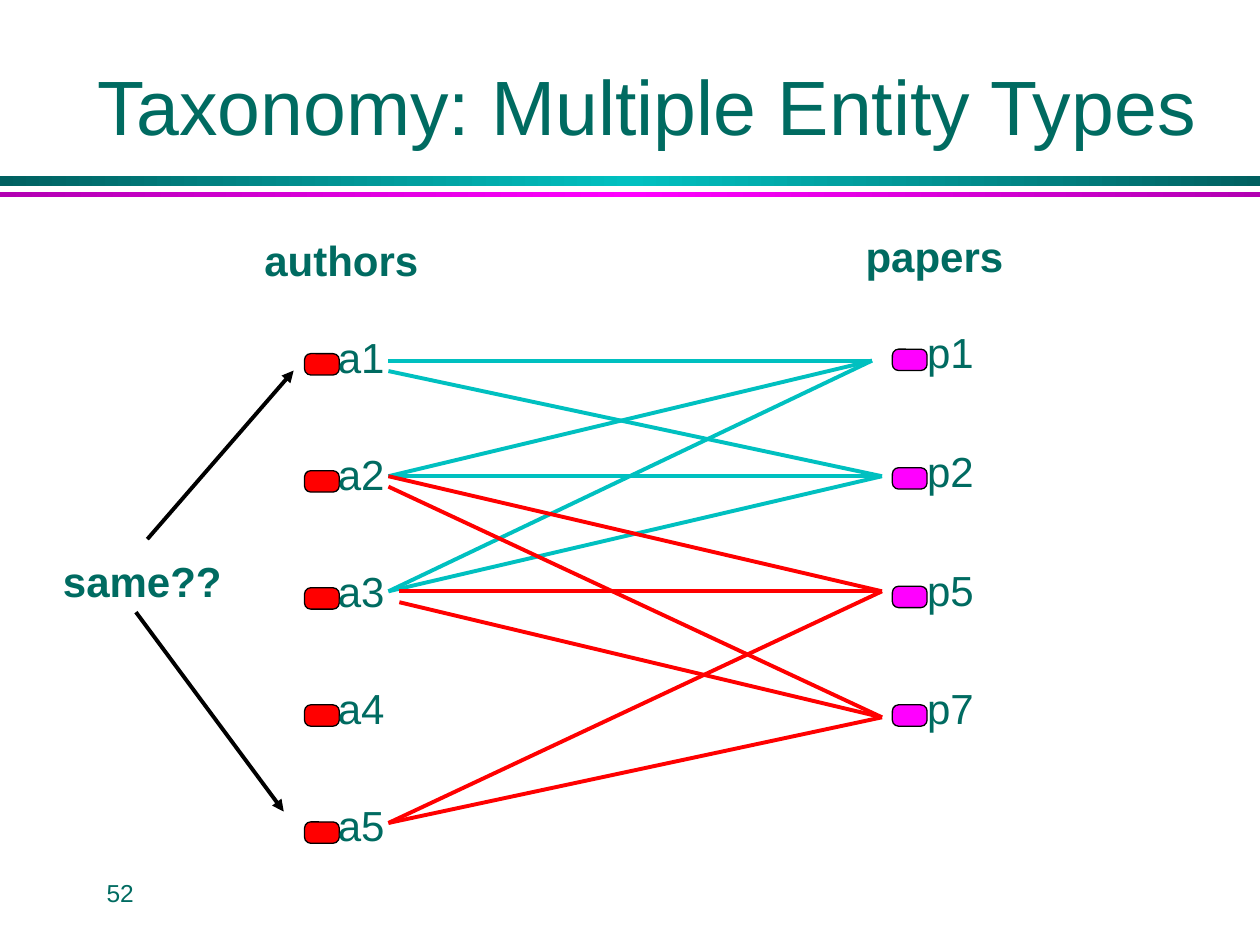
"""Build the slide that links authors to papers as a two-column entity graph."""
from copy import deepcopy

from lxml import etree
from pptx import Presentation
from pptx.dml.color import RGBColor
from pptx.enum.shapes import MSO_CONNECTOR, MSO_SHAPE
from pptx.enum.text import MSO_ANCHOR, PP_ALIGN
from pptx.oxml.ns import qn
from pptx.util import Cm, Pt

RECTANGLE, ROUNDED = MSO_SHAPE.RECTANGLE, MSO_SHAPE.ROUNDED_RECTANGLE
STRAIGHT = MSO_CONNECTOR.STRAIGHT
TOP, MIDDLE, BOTTOM = MSO_ANCHOR.TOP, MSO_ANCHOR.MIDDLE, MSO_ANCHOR.BOTTOM
LEFT, CENTER = PP_ALIGN.LEFT, PP_ALIGN.CENTER

FONT = "Arial"
GREEN = RGBColor(0x00, 0x6B, 0x61)
DARK_TEAL = RGBColor(0x00, 0x60, 0x60)
TEAL = RGBColor(0x00, 0xC0, 0xC0)
PURPLE = RGBColor(0xB2, 0x00, 0xB2)
MAGENTA = RGBColor(0xFF, 0x00, 0xFF)
RED = RGBColor(0xFF, 0x00, 0x00)
BLACK = RGBColor(0x00, 0x00, 0x00)

TITLE = "Taxonomy: Multiple Entity Types"
NUMBER = "52"
RULES = [(3.55, 0.2, DARK_TEAL, TEAL), (3.87, 0.1, PURPLE, MAGENTA)]
HEADINGS = [
    ("authors", 5.08, 4.6, 3.61),
    ("papers", 17.2, 4.52, 3.28),
    ("same??", 1.02, 11.07, 3.71),
]
COLUMNS = [
    (["p1", "p2", "p5", "p7"], MAGENTA, 17.99, 18.69, 7.04, 2.39),
    (["a1", "a2", "a3", "a4", "a5"], RED, 6.14, 6.81, 7.13, 2.36),
]
PILL_WIDTH, PILL_HEIGHT = 0.7, 0.43
LABEL_WIDTH, LABEL_HEIGHT, LABEL_RISE = 1, 1.09, 0.53

PORTS = {
    "a1": (7.83, 7.27), "a1 low": (7.83, 7.48),
    "a2": (7.83, 9.6), "a2 low": (7.83, 9.81),
    "a3": (7.83, 11.92), "a3 right": (8.05, 11.92), "a3 low": (8.05, 12.14),
    "a5": (7.83, 16.59),
    "p1": (17.58, 7.27), "p2": (17.78, 9.6),
    "p5": (17.78, 11.92), "p7": (17.78, 14.46),
}
LINKS = [
    ("p1", ["a1", "a2", "a3"], TEAL),
    ("p2", ["a1 low", "a2", "a3"], TEAL),
    ("p5", ["a5", "a2", "a3 right"], RED),
    ("p7", ["a3 low", "a2 low", "a5"], RED),
]
ARROWS = [((2.97, 10.87), (5.92, 7.47)), ((2.74, 12.34), (5.72, 16.36))]


def add_text(page, text, left, top, width, height, size=24, bold=False,
             anchor=TOP, align=LEFT, wrap=False, inset=(0.25, 0.13), spacing=1.0):
    box = page.shapes.add_textbox(Cm(left), Cm(top), Cm(width), Cm(height))
    frame = box.text_frame
    frame.word_wrap = wrap
    frame.vertical_anchor = anchor
    frame.margin_left = frame.margin_right = Cm(inset[0])
    frame.margin_top = frame.margin_bottom = Cm(inset[1])
    para = frame.paragraphs[0]
    para.alignment = align
    para.line_spacing = spacing
    span = para.add_run()
    span.text = text
    span.font.name = FONT
    span.font.size = Pt(size)
    span.font.bold = bold
    span.font.color.rgb = GREEN


def add_rule(page, top, height, edge, middle):
    rule = page.shapes.add_shape(RECTANGLE, 0, Cm(top), Cm(25.4), Cm(height))
    rule.shadow.inherit = False
    rule.line.fill.background()
    rule.fill.gradient()
    rule.fill.gradient_angle = 0
    stop_list = next(rule._element.spPr.iter(qn("a:gsLst")))
    stop_list.append(deepcopy(stop_list[0]))
    colors = [edge, middle, edge]
    for stop, position, color in zip(rule.fill.gradient_stops, (0, 0.5, 1), colors):
        stop.position = position
        stop.color.rgb = color


def add_node(page, name, color, pill_left, label_left, top):
    pill = page.shapes.add_shape(
        ROUNDED, Cm(pill_left), Cm(top), Cm(PILL_WIDTH), Cm(PILL_HEIGHT))
    pill.adjustments[0] = 0.29
    pill.shadow.inherit = False
    pill.fill.solid()
    pill.fill.fore_color.rgb = color
    pill.line.color.rgb = BLACK
    pill.line.width = Pt(0.75)
    add_text(page, name, label_left, top - LABEL_RISE, LABEL_WIDTH, LABEL_HEIGHT,
             inset=(0, 0), spacing=1.08)


def add_line(page, start, end, color, arrow=False):
    line = page.shapes.add_connector(STRAIGHT, *map(Cm, start + end))
    line.line.color.rgb = color
    line.line.width = Pt(2.25)
    if arrow:
        outline = line.line._get_or_add_ln()
        etree.SubElement(outline, qn("a:tailEnd"), type="triangle")
    etree.SubElement(line._element.spPr, qn("a:effectLst"))


def main():
    deck = Presentation()
    deck.slide_width, deck.slide_height = Cm(25.4), Cm(19.05)
    page = deck.slides.add_slide(deck.slide_layouts[6])
    for rule in RULES:
        add_rule(page, *rule)
    add_text(page, NUMBER, 1.9, 17.37, 5.28, 1.27, size=14, anchor=MIDDLE, wrap=True)
    add_text(page, TITLE, 1.17, 0.94, 23.77, 2.24, size=44,
             anchor=BOTTOM, align=CENTER, wrap=True)
    for names, color, pill_left, label_left, top, step in COLUMNS:
        for row, name in enumerate(names):
            add_node(page, name, color, pill_left, label_left, top + row * step)
    for text, left, top, width in HEADINGS:
        add_text(page, text, left, top, width, 1.27, bold=True)
    for start, end in ARROWS:
        add_line(page, start, end, BLACK, arrow=True)
    for paper, authors, color in LINKS:
        for author in authors:
            add_line(page, PORTS[paper], PORTS[author], color)
    deck.save("out.pptx")


if __name__ == "__main__":
    main()
